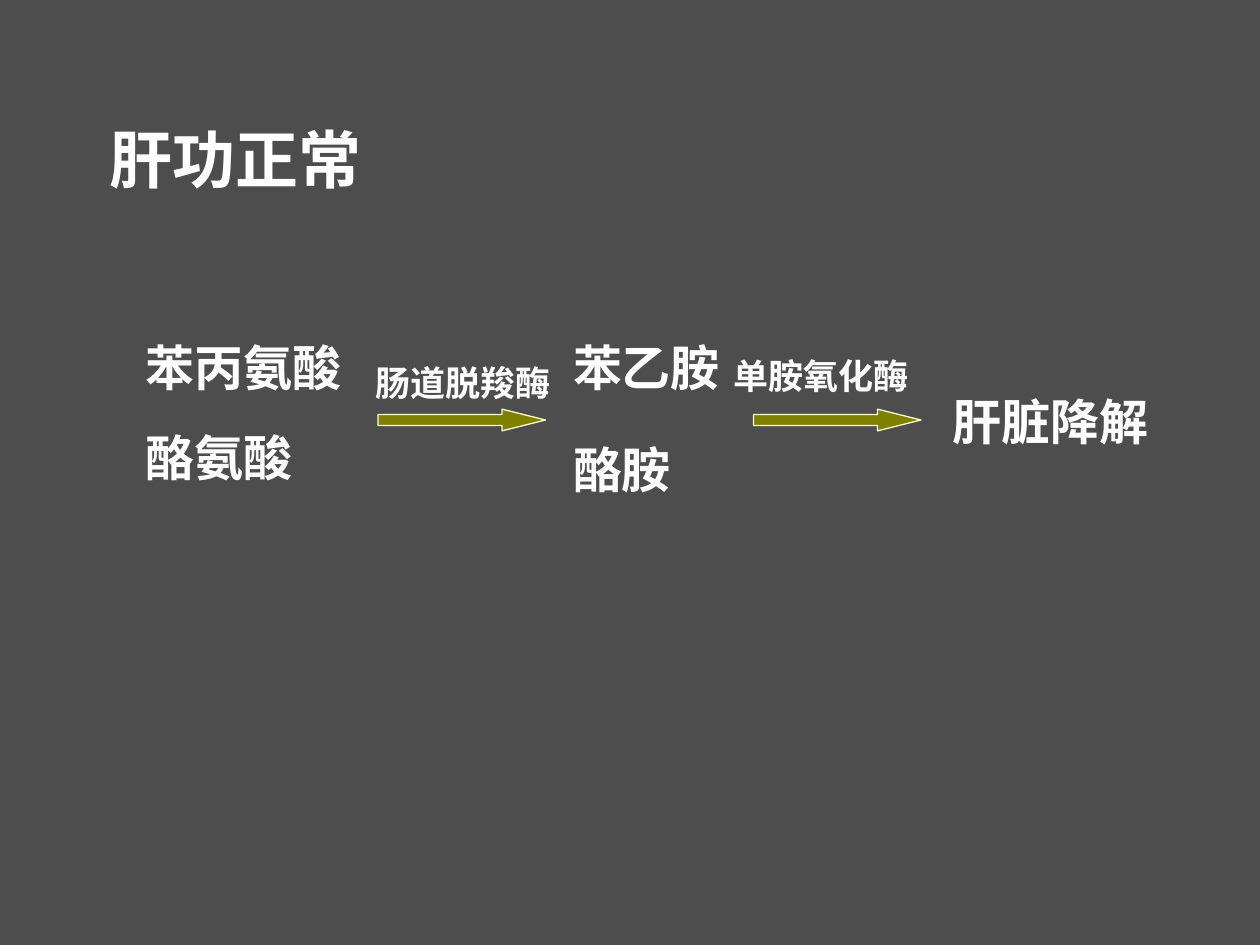
from dataclasses import dataclass

from pptx import Presentation
from pptx.dml.color import RGBColor
from pptx.enum.shapes import MSO_SHAPE
from pptx.enum.text import MSO_ANCHOR, MSO_AUTO_SIZE, PP_ALIGN
from pptx.util import Inches, Pt

RIGHT_ARROW = MSO_SHAPE.RIGHT_ARROW
TOP = MSO_ANCHOR.TOP
LEFT = PP_ALIGN.LEFT
FIXED_SIZE = MSO_AUTO_SIZE.NONE

WIDTH, HEIGHT = Inches(10), Inches(7.5)
TITLE_ONLY = 5
FONT = "Times New Roman"
BACKGROUND, WHITE, OLIVE, CREAM = "4D4D4D", "FFFFFF", "808000", "FFFFCC"
ARROW_TOP, ARROW_WIDTH, ARROW_HEIGHT = 0.433, 0.133, 0.023


@dataclass(frozen=True)
class Box:
    """Position and size as shares of the slide."""
    left: float
    top: float
    width: float
    height: float

    def lengths(self) -> tuple[int, int, int, int]:
        return (round(self.left * WIDTH), round(self.top * HEIGHT),
                round(self.width * WIDTH), round(self.height * HEIGHT))


@dataclass(frozen=True)
class Label:
    box: Box
    lines: tuple[str, ...]
    size: int = 28
    gap: float = 0
    wrap: bool = True


TITLE = Label(Box(0.077, 0.121, 0.387, 0.093), ("肝功正常",), size=36)
LABELS = (
    Label(Box(0.106, 0.351, 0.317, 0.265), ("苯丙氨酸", "酪氨酸"), gap=17.5),
    Label(Box(0.445, 0.351, 0.15, 0.183), ("苯乙胺", "酪胺"), gap=24.25),
    Label(Box(0.746, 0.408, 0.175, 0.076), ("肝脏降解",), wrap=False),
    Label(Box(0.288, 0.376, 0.159, 0.059), ("肠道脱羧酶",), size=20, wrap=False),
    Label(Box(0.572, 0.369, 0.159, 0.059), ("单胺氧化酶",), size=20, wrap=False),
)
ARROW_LEFTS = (0.3, 0.598)


def color(code: str) -> RGBColor:
    return RGBColor.from_string(code)


def write(frame, lines: tuple[str, ...], *, size: int, gap: float = 0,
          wrap: bool = True) -> None:
    frame.word_wrap = wrap
    frame.auto_size = FIXED_SIZE
    frame.vertical_anchor = TOP
    for index, line in enumerate(lines):
        paragraph = frame.add_paragraph() if index else frame.paragraphs[0]
        paragraph.alignment = LEFT
        if index:
            paragraph.space_before = Pt(gap)
        run = paragraph.add_run()
        run.text = line
        run.font.name = FONT
        run.font.size = Pt(size)
        run.font.bold = True
        run.font.color.rgb = color(WHITE)


def place_title(slide, label: Label) -> None:
    title = slide.shapes.title
    title.left, title.top, title.width, title.height = label.box.lengths()
    write(title.text_frame, label.lines, size=label.size)


def add_label(slide, label: Label) -> None:
    textbox = slide.shapes.add_textbox(*label.box.lengths())
    write(textbox.text_frame, label.lines, size=label.size, gap=label.gap,
          wrap=label.wrap)


def add_arrow(slide, box: Box) -> None:
    arrow = slide.shapes.add_shape(RIGHT_ARROW, *box.lengths())
    arrow.adjustments[0] = 0.5
    arrow.adjustments[1] = 2
    arrow.shadow.inherit = False
    arrow.fill.solid()
    arrow.fill.fore_color.rgb = color(OLIVE)
    arrow.line.color.rgb = color(CREAM)
    arrow.line.width = Pt(0.75)


def main() -> None:
    deck = Presentation()
    deck.slide_width, deck.slide_height = WIDTH, HEIGHT
    slide = deck.slides.add_slide(deck.slide_layouts[TITLE_ONLY])
    slide.background.fill.solid()
    slide.background.fill.fore_color.rgb = color(BACKGROUND)
    place_title(slide, TITLE)
    for label in LABELS:
        add_label(slide, label)
    for left in ARROW_LEFTS:
        add_arrow(slide, Box(left, ARROW_TOP, ARROW_WIDTH, ARROW_HEIGHT))
    deck.save("out.pptx")


if __name__ == "__main__":
    main()
